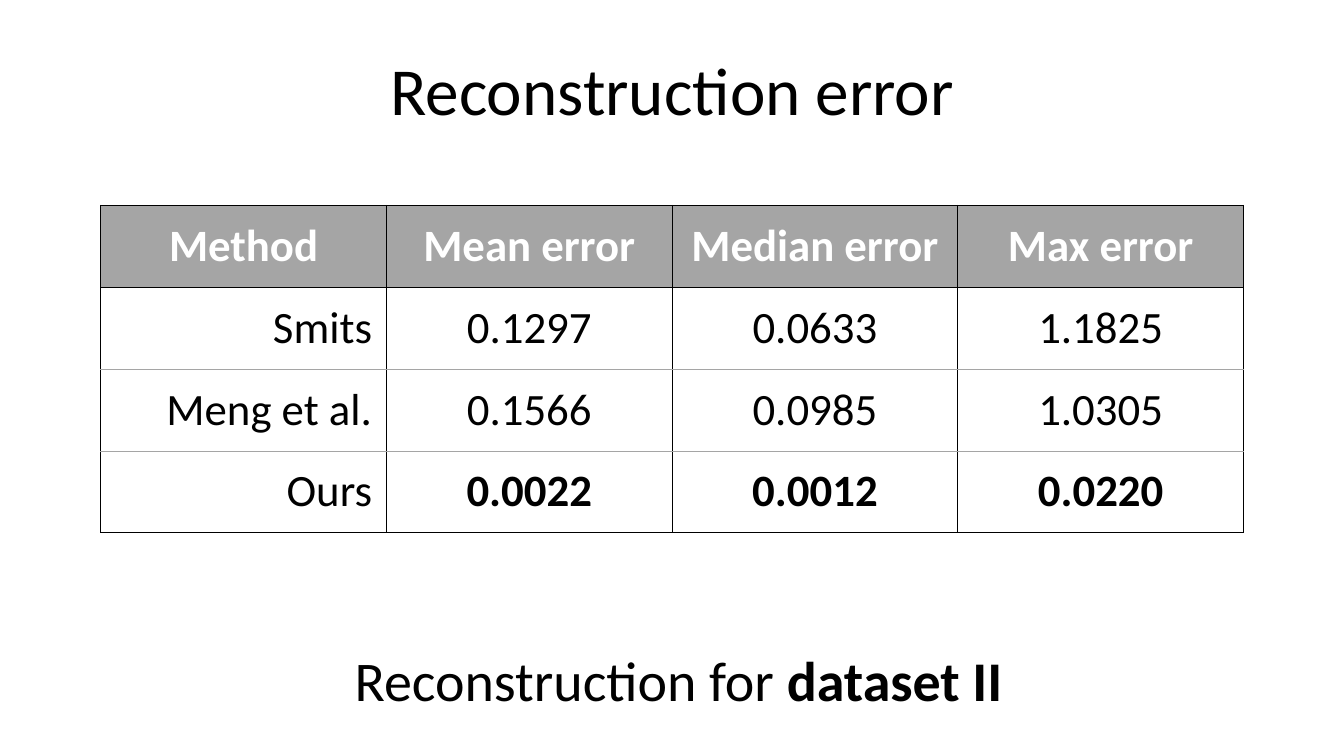
from pptx import Presentation
from pptx.dml.color import RGBColor
from pptx.enum.text import MSO_ANCHOR as Anchor, PP_ALIGN as Align
from pptx.oxml.ns import qn
from pptx.util import Cm, Pt
from lxml.etree import SubElement

COLORS = {"text": "000000", "header_text": "FFFFFF", "gray": "A5A5A5"}
FONT = "Calibri"
COL_WIDTH, ROW_HEIGHT = 7.2, 2.06
ROWS = [
    ["Method", "Mean error", "Median error", "Max error"],
    ["Smits", "0.1297", "0.0633", "1.1825"],
    ["Meng et al.", "0.1566", "0.0985", "1.0305"],
    ["Ours", "0.0022", "0.0012", "0.0220"],
]


def rgb(name):
    return RGBColor.from_string(COLORS[name])


def set_attrs(obj, values):
    for name, value in values.items():
        setattr(obj, name, value)


def add_run(p, text, size, color="text", bold=False):
    r = p.add_run()
    r.text = text
    set_attrs(r.font, {"name": FONT, "size": Pt(size), "bold": bold})
    r.font.color.rgb = rgb(color)


def add_text(s, box, parts, size, frame, para):
    tf = s.shapes.add_textbox(*map(Cm, box)).text_frame
    set_attrs(tf, frame)
    p = tf.paragraphs[0]
    set_attrs(p, para)
    for text, bold in parts:
        add_run(p, text, size, bold=bold)


def add_border(cell, side, color, width):
    ln = SubElement(cell._tc.get_or_add_tcPr(), qn(f"a:ln{side}"), w=str(Pt(width)))
    fill = SubElement(ln, qn("a:solidFill"))
    SubElement(fill, qn("a:srgbClr"), val=COLORS[color])


def format_cell(cell, text, row, col):
    header, last = row == 0, row == len(ROWS) - 1
    set_attrs(cell, {
        "vertical_anchor": Anchor.MIDDLE,
        "margin_left": Cm(0.36), "margin_right": Cm(0.36),
        "margin_top": Cm(0.18), "margin_bottom": Cm(0.18),
    })
    outer, inner = ("text", 1), ("gray", 0.5)
    borders = {
        "L": outer,
        "R": outer,
        "T": outer if row <= 1 else inner,
        "B": outer if header or last else inner,
    }
    for side, (color, width) in borders.items():
        add_border(cell, side, color, width)
    if header:
        cell.fill.solid()
        cell.fill.fore_color.rgb = rgb("gray")
    else:
        cell.fill.background()
    p = cell.text_frame.paragraphs[0]
    p.alignment = Align.RIGHT if col == 0 and not header else Align.CENTER
    add_run(p, text, 32, "header_text" if header else "text",
            header or (last and col > 0))


def add_error_table(s, left, top):
    n_rows, n_cols = len(ROWS), len(ROWS[0])
    size = (COL_WIDTH * n_cols, ROW_HEIGHT * n_rows)
    table = s.shapes.add_table(n_rows, n_cols, *map(Cm, (left, top, *size))).table
    table.horz_banding = False
    for column in table.columns:
        column.width = Cm(COL_WIDTH)
    for i, texts in enumerate(ROWS):
        table.rows[i].height = Cm(ROW_HEIGHT)
        for j, text in enumerate(texts):
            format_cell(table.cell(i, j), text, i, j)


def main():
    prs = Presentation()
    set_attrs(prs, {"slide_width": Cm(33.87), "slide_height": Cm(19.05)})
    s = prs.slides.add_slide(prs.slide_layouts[6])
    add_text(s, (2.34, 1.02, 29.21, 2.67), [("Reconstruction error", False)], 48,
             {"word_wrap": True, "vertical_anchor": Anchor.MIDDLE},
             {"alignment": Align.CENTER, "line_spacing": 0.9})
    add_error_table(s, 2.54, 5.18)
    add_text(s, (8.69, 16.13, 17.02, 1.96),
             [("Reconstruction for ", False), ("dataset II", True)], 40,
             {"word_wrap": False}, {"alignment": Align.LEFT})
    prs.save("out.pptx")


if __name__ == "__main__":
    main()
